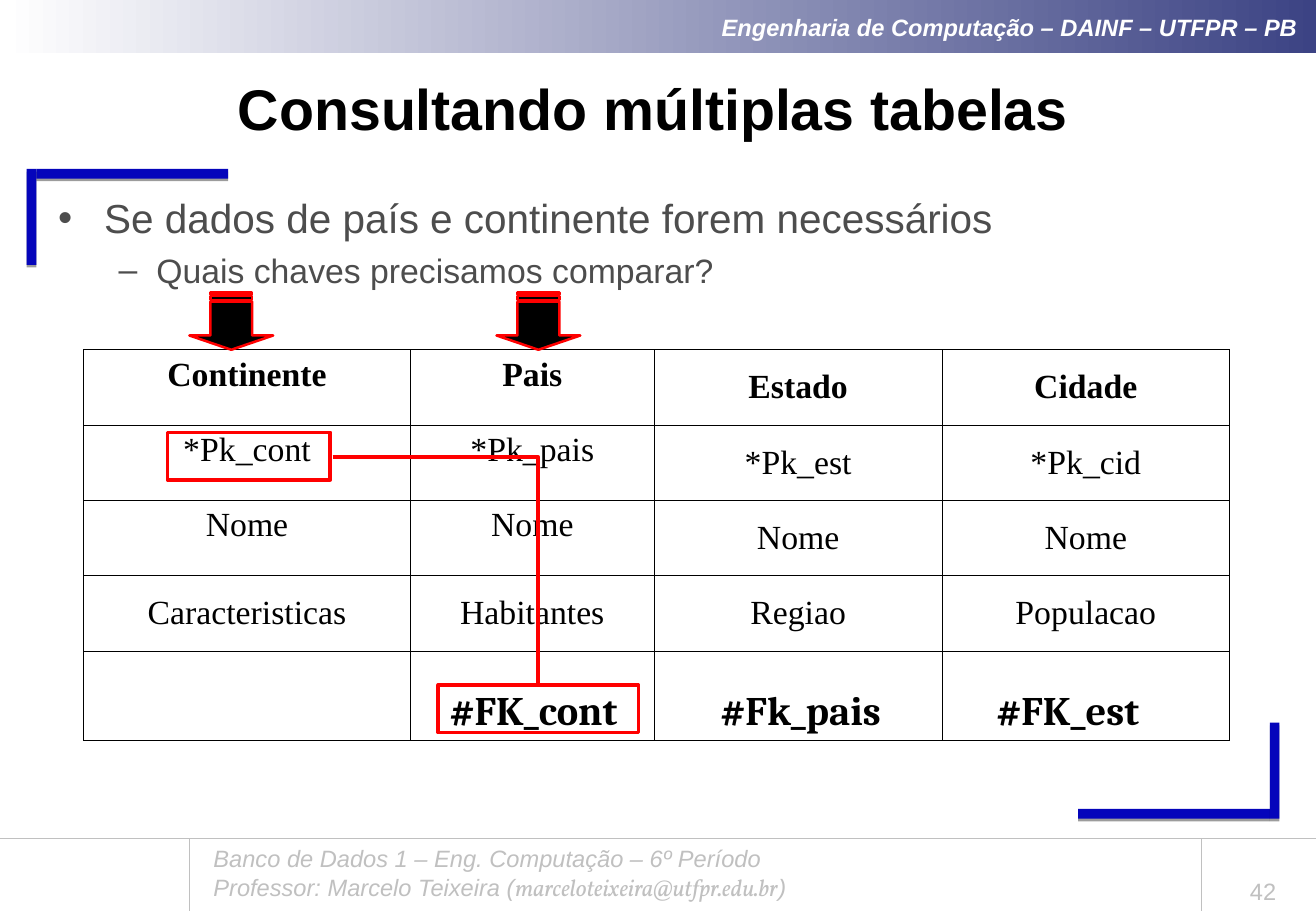
from lxml import etree
from pptx import Presentation
from pptx.dml.color import RGBColor
from pptx.enum.shapes import MSO_CONNECTOR, MSO_SHAPE
from pptx.enum.text import MSO_ANCHOR, PP_ALIGN
from pptx.oxml.ns import qn
from pptx.util import Pt

PX = 9144  # one hundredth of an inch
PAGE_WIDTH, PAGE_HEIGHT = 1084, 750

RECT, STRIPED_ARROW = MSO_SHAPE.RECTANGLE, MSO_SHAPE.STRIPED_RIGHT_ARROW
STRAIGHT, ELBOW = MSO_CONNECTOR.STRAIGHT, MSO_CONNECTOR.ELBOW
LEFT, CENTER, RIGHT = PP_ALIGN.LEFT, PP_ALIGN.CENTER, PP_ALIGN.RIGHT
TOP, MIDDLE, BOTTOM = MSO_ANCHOR.TOP, MSO_ANCHOR.MIDDLE, MSO_ANCHOR.BOTTOM

WHITE = RGBColor(0xFF, 0xFF, 0xFF)
BLACK = RGBColor(0x00, 0x00, 0x00)
RED = RGBColor(0xFF, 0x00, 0x00)
NAVY = RGBColor(0x3C, 0x43, 0x84)
BLUE = RGBColor(0x05, 0x05, 0xBB)
SILVER = RGBColor(0xC0, 0xC0, 0xC0)
GRAY = RGBColor(0x4D, 0x4D, 0x4D)

HEADER = {"name": "Arial", "size": Pt(14), "bold": True, "italic": True}
FOOTER = {"name": "Arial", "size": Pt(14), "italic": True}
MAIL = {**FOOTER, "name": "Vollkorn"}
NUMBER = {"name": "Arial", "size": Pt(14)}
TITLE = {"name": "Arial", "size": Pt(34), "bold": True}
TOPIC = {"name": "Arial", "size": Pt(24)}
SUBTOPIC = {"name": "Arial", "size": Pt(20)}
CELL = {"name": "Times New Roman", "size": Pt(20), "bold": False}
CELL_HEAD = {**CELL, "bold": True}
KEY = {"name": "Cambria", "size": Pt(24), "bold": True}


class Page:
    """The current slide and the ways to put elements on it."""

    def __init__(self, deck):
        self.shapes = deck.slides.add_slide(deck.slide_layouts[6]).shapes

    def spans(self, para, spans, color, align=LEFT):
        para.alignment = align
        for text, style in spans:
            span = para.add_run()
            span.text = text
            for name, value in style.items():
                setattr(span.font, name, value)
            span.font.color.rgb = color

    def fill_text(self, frame, paras, color, align=LEFT, anchor=TOP,
                  insets=(10, 5, 10, 5), wrap=True):
        frame.word_wrap = wrap
        frame.vertical_anchor = anchor
        for side, inset in zip(("left", "top", "right", "bottom"), insets):
            setattr(frame, f"margin_{side}", inset * PX)
        for index, spans in enumerate(paras):
            para = frame.add_paragraph() if index else frame.paragraphs[0]
            self.spans(para, spans, color, align)
        return frame

    def text(self, place, paras, color, **layout):
        box = self.shapes.add_textbox(*(n * PX for n in place))
        return self.fill_text(box.text_frame, paras, color, **layout)

    def bullet(self, para, mark, margin, hang, level=0, before=0):
        para.level = level
        props = para._p.get_or_add_pPr()
        props.set("marL", str(margin * PX))
        props.set("indent", str(-hang * PX))
        etree.SubElement(props, qn("a:buFont"), typeface="Arial")
        etree.SubElement(props, qn("a:buChar"), char=mark)
        if before:
            para.space_before = Pt(before)

    def shape(self, kind, place, fill=None, line=None, width=0):
        shape = self.shapes.add_shape(kind, *(n * PX for n in place))
        shape.shadow.inherit = False
        if fill is None:
            shape.fill.background()
        else:
            shape.fill.solid()
            shape.fill.fore_color.rgb = fill
        if line is None:
            shape.line.fill.background()
        else:
            shape.line.color.rgb = line
            shape.line.width = Pt(width)
        return shape

    def gradient(self, place, first, last):
        shape = self.shape(RECT, place)
        shape.fill.gradient()
        shape.fill.gradient_angle = 0
        for stop, color, position in zip(shape.fill.gradient_stops, (first, last), (0, 1)):
            stop.color.rgb = color
            stop.position = position
        return shape

    def bar(self, place):
        shape = self.shape(RECT, place, BLUE)
        effects = shape._element.spPr.find(qn("a:effectLst"))
        shadow = etree.SubElement(effects, qn("a:outerShdw"), blurRad="0",
                                  dist="20320", dir="5400000", rotWithShape="0")
        tint = etree.SubElement(shadow, qn("a:srgbClr"), val="000000")
        etree.SubElement(tint, qn("a:alpha"), val="38000")

    def arrow_down(self, place):
        arrow = self.shape(STRIPED_ARROW, place, BLACK, RED, 1.5)
        arrow.adjustments[0] = 0.5
        arrow.adjustments[1] = 0.25
        arrow.rotation = 90

    def line(self, ends, color, width, kind=STRAIGHT):
        line = self.shapes.add_connector(kind, *(n * PX for n in ends))
        line.line.color.rgb = color
        line.line.width = Pt(width)
        props = line._element.spPr
        etree.SubElement(props, qn("a:effectLst"))
        if kind == ELBOW:  # a single corner
            props.find(qn("a:prstGeom")).set("prst", "bentConnector2")

    def border(self, cell):
        props = cell._tc.get_or_add_tcPr()
        for side in "LRTB":
            edge = etree.SubElement(props, qn(f"a:ln{side}"), w=str(Pt(0.45)))
            fill = etree.SubElement(edge, qn("a:solidFill"))
            etree.SubElement(fill, qn("a:srgbClr"), val=str(BLACK))

    def table(self, left, top, widths, heights, rows):
        table = self.shapes.add_table(len(heights), len(widths), left * PX, top * PX,
                                      sum(widths) * PX, sum(heights) * PX).table
        table.first_row = table.horz_banding = False
        for column, width in zip(table.columns, widths):
            column.width = width * PX
        for row, height in zip(table.rows, heights):
            row.height = height * PX
        for r, texts in enumerate(rows):
            for c, text in enumerate(texts):
                cell = table.cell(r, c)
                self.border(cell)
                cell.fill.background()
                cell.margin_left = cell.margin_right = 4 * PX
                cell.margin_top = cell.margin_bottom = 5 * PX
                cell.vertical_anchor = TOP if r < 3 and c < 2 else MIDDLE
                if text:
                    style = CELL if r else CELL_HEAD
                    self.spans(cell.text_frame.paragraphs[0], [(text, style)], BLACK, CENTER)


def main():
    deck = Presentation()
    deck.slide_width, deck.slide_height = PAGE_WIDTH * PX, PAGE_HEIGHT * PX
    page = Page(deck)

    # Header band
    band = page.gradient((2, 0, 1082, 44), WHITE, NAVY)
    page.fill_text(band.text_frame, [[("Engenharia de Computação – DAINF – UTFPR – PB", HEADER)]],
                   WHITE, align=RIGHT, anchor=MIDDLE, insets=(10, 5, 15, 5))

    # Corner brackets
    for place in ((888, 666, 158, 8), (1046, 595, 8, 79), (30, 139, 158, 8), (22, 139, 8, 79)):
        page.bar(place)

    # Footer
    for x in (156, 990):
        page.line((x, 690, x, PAGE_HEIGHT), SILVER, 0.75)
    page.line((0, 690, PAGE_WIDTH, 690), SILVER, 0.25)
    page.text((166, 690, 754, 57), [
        [("Banco de Dados 1 – Eng. Computação – 6º Período", FOOTER)],
        [("Professor: Marcelo Teixeira (", FOOTER),
         ("marceloteixeira@utfpr.edu.br", MAIL), (")", FOOTER)]], SILVER)
    page.text((997, 711, 87, 39), [[("42", NUMBER)]], SILVER, align=CENTER, anchor=BOTTOM)

    # Title and topics
    page.text((22, 54, 1032, 69), [[("Consultando múltiplas tabelas", TITLE)]], BLACK,
              align=CENTER, anchor=MIDDLE)
    topics = page.text((38, 154, 1000, 504), [
        [("Se dados de país e continente forem necessários", TOPIC)],
        [("Quais chaves precisamos comparar?", SUBTOPIC)]], GRAY)
    page.bullet(topics.paragraphs[0], "•", 38, 38)
    page.bullet(topics.paragraphs[1], "–", 81, 31, level=1, before=5)

    # Tables and their columns
    page.table(69, 288, (269, 201, 237, 237), (62, 62, 62, 62, 74), (
        ("Continente", "Pais", "Estado", "Cidade"),
        ("*Pk_cont", "*Pk_pais", "*Pk_est", "*Pk_cid"),
        ("Nome", "Nome", "Nome", "Nome"),
        ("Caracteristicas", "Habitantes", "Regiao", "Populacao"),
        ("", "", "", "")))

    # Foreign keys
    for index, key in enumerate(("#FK_cont", "#Fk_pais", "#FK_est")):
        page.text((353 + 220 * index, 564, 173, 39), [[(key, KEY)]], BLACK, align=CENTER,
                  anchor=MIDDLE, insets=(4, 4, 4, 4), wrap=False)

    # Arrows and the link between the keys
    for x in (167, 420):
        page.arrow_down((x, 230, 47, 69))
    for place in ((138, 356, 134, 39), (361, 564, 165, 39)):
        page.shape(RECT, place, line=RED, width=2.25)
    page.line((274, 376, 443, 563), RED, 2.25, ELBOW)

    deck.save("out.pptx")


if __name__ == "__main__":
    main()
